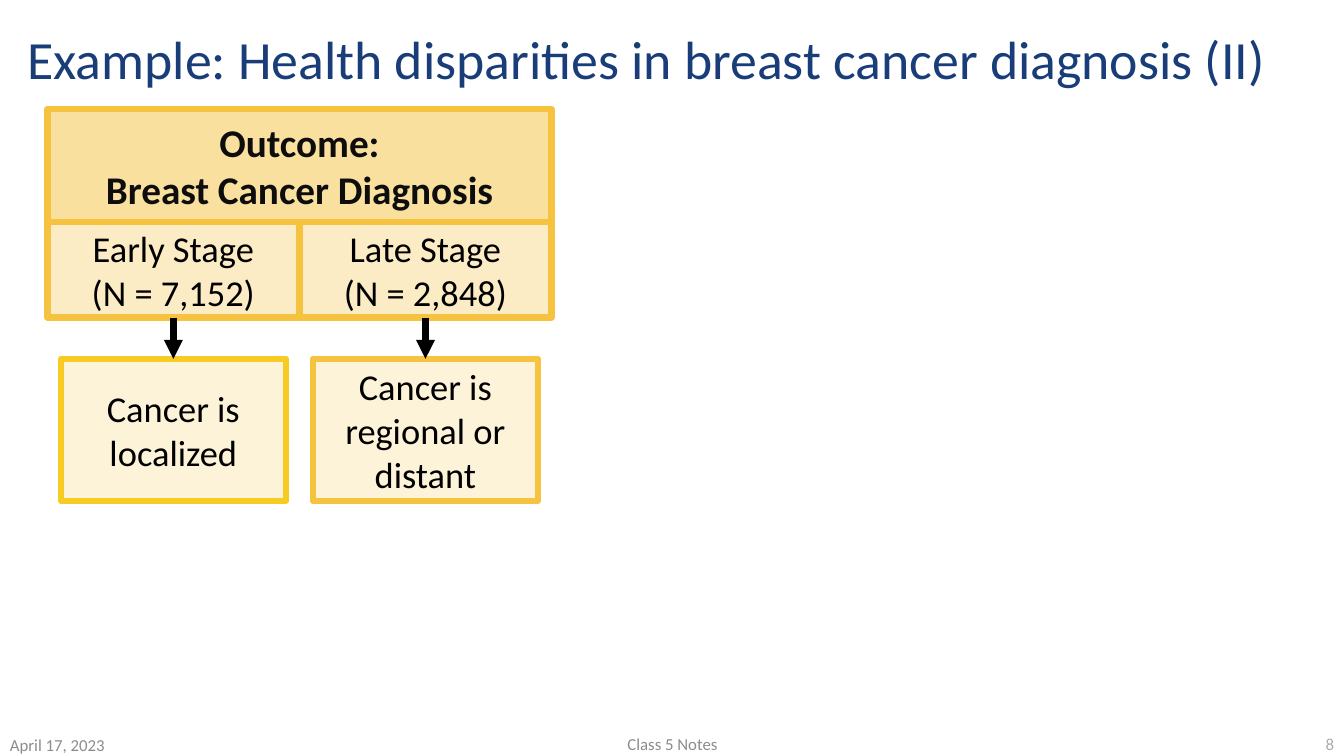
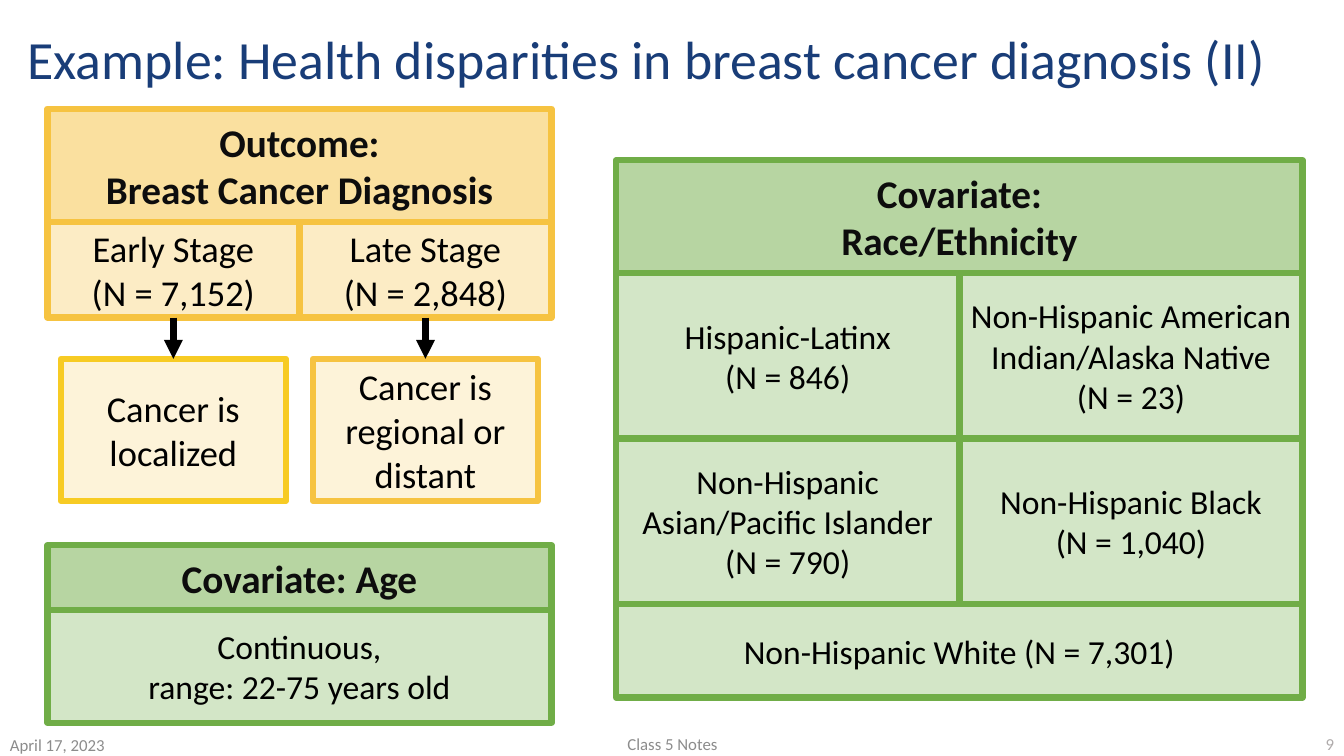
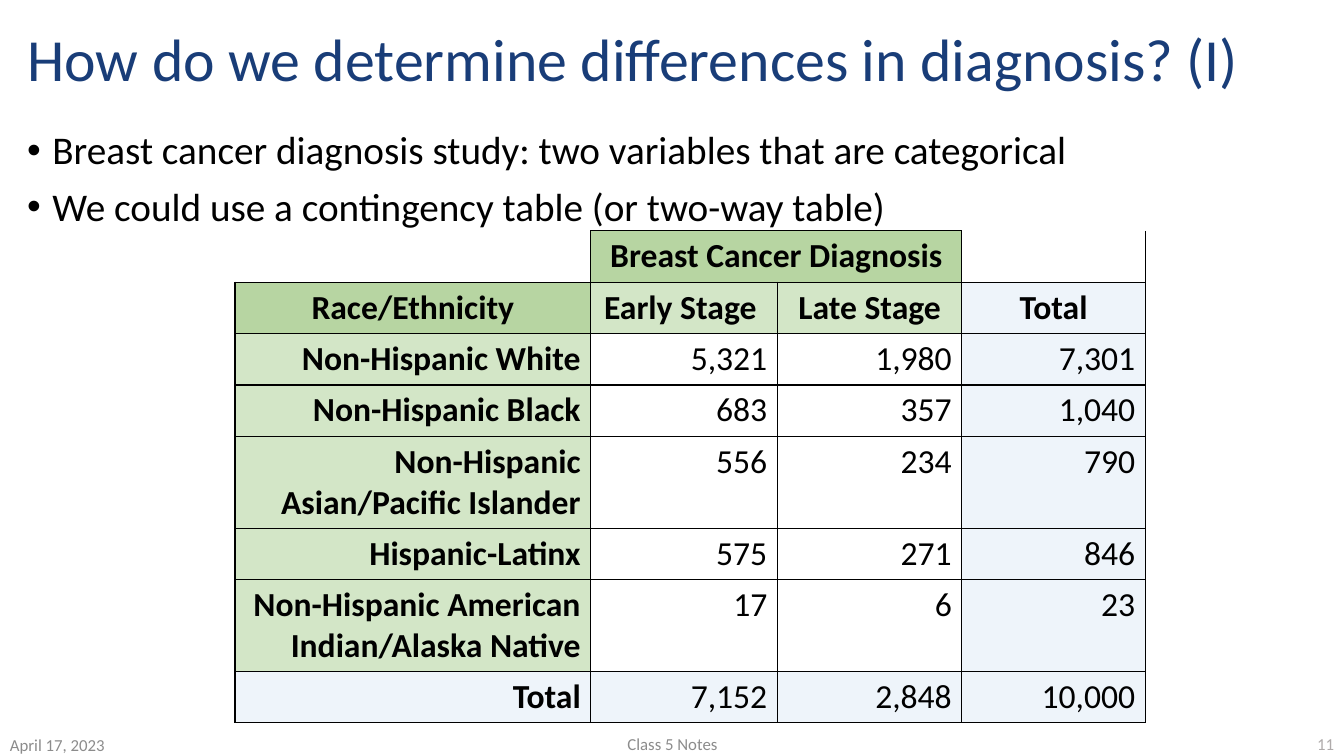
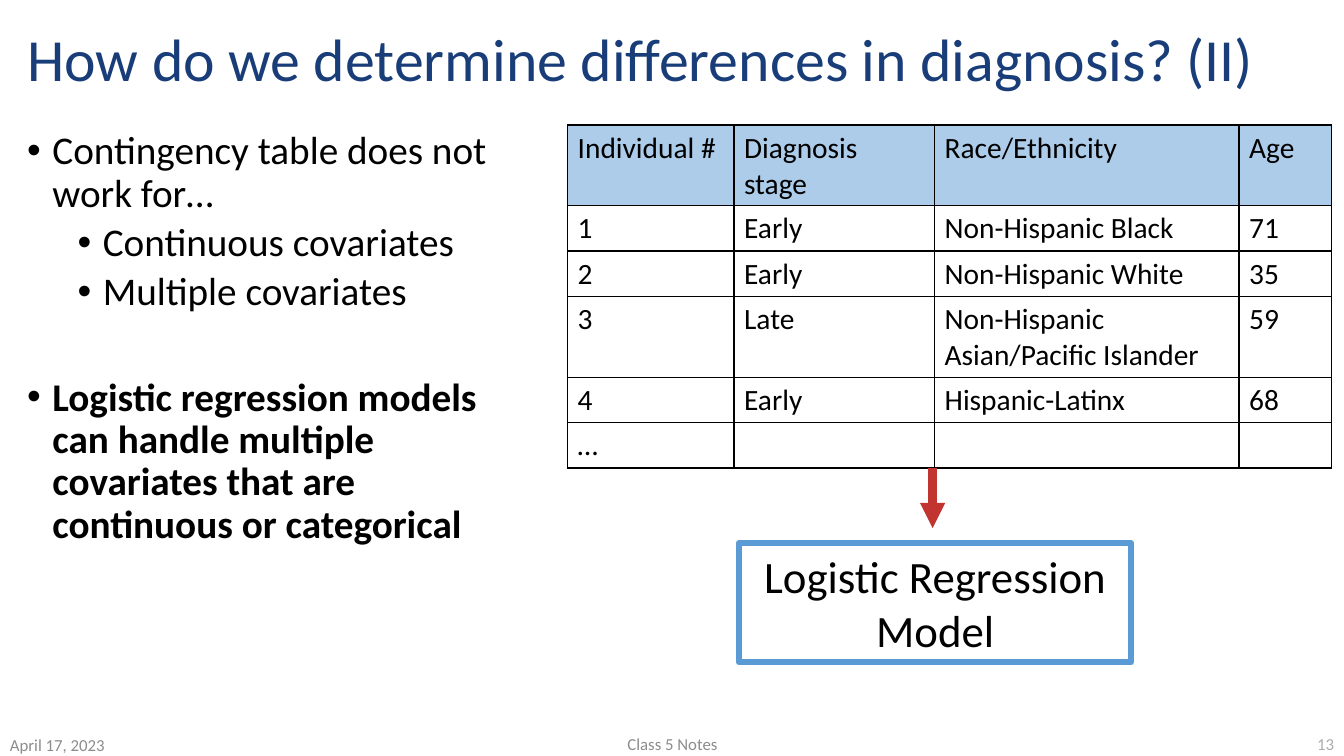
"""Build four class slides on health disparities in breast cancer diagnosis."""
from lxml import etree
from pptx import Presentation
from pptx import util as u
from pptx.dml.color import RGBColor
from pptx.enum import shapes, text
from pptx.oxml.ns import qn

WIDTH, HEIGHT = 13.33, 7.5
FONT = "Calibri"
COLORS = {
    "title": "193D78", "footer": "8C8C8C", "number": "AFABAB", "black": "000000",
    "heading": "0D0D0D", "gold": "F6C341", "yellow": "F7CB24", "green": "70AD47",
    "blue": "5B9BD5", "red": "C2342F",
}
ALIGN, ANCHOR = text.PP_ALIGN, text.MSO_ANCHOR
LEFT, CENTER, RIGHT = ALIGN.LEFT, ALIGN.CENTER, ALIGN.RIGHT
TITLE_ONLY, TITLE_AND_BODY = 5, 1
THICK = 4.5
PLAIN_TABLE = "{2D5ABB26-0587-4C30-8999-92F81FD0307C}"

TITLE_BOX = (0.17, 0.16, 13, 0.92)
DATE = ("April 17, 2023", (0, 7.27, 3, 0.23), LEFT, "footer")
CLASS = ("Class 5 Notes", (4.42, 7.25, 4.5, 0.25), CENTER, "footer")
NUMBER_BOX = (10.33, 7.25, 3, 0.25)

EXAMPLE_TITLE = ("Example: Health disparities in breast cancer diagnosis (II)", 38.4)
QUESTION = "How do we determine differences in diagnosis? "

OUTCOME = {
    "at": (0.47, 1.08), "width": 5, "color": "gold", "size": 26,
    "rows": [
        (1.12, ["Outcome:\nBreast Cancer Diagnosis"]),
        (0.95, ["Early Stage\n(N = 7,152)", "Late Stage\n(N = 2,848)"]),
    ],
}
STAGE_NOTES = [("Cancer is localized", "yellow"), ("Cancer is regional or distant", "gold")]
NOTE_TOP, NOTE_WIDTH, NOTE_HEIGHT = 3.56, 2.23, 1.41
RACE = {
    "at": (6.11, 1.59), "width": 6.81, "color": "green", "size": 24,
    "rows": [
        (1.12, ["Covariate:\nRace/Ethnicity"]),
        (1.64, ["Hispanic-Latinx\n(N = 846)",
                "Non-Hispanic American Indian/Alaska Native\n(N = 23)"]),
        (1.64, ["Non-Hispanic Asian/Pacific Islander\n(N = 790)",
                "Non-Hispanic Black\n(N = 1,040)"]),
        (0.93, ["Non-Hispanic White (N = 7,301)"]),
    ],
}
AGE = {
    "at": (0.47, 5.41), "width": 5, "color": "green", "size": 24,
    "rows": [(0.64, ["Covariate: Age"]), (1.12, ["Continuous,\nrange: 22-75 years old"])],
}

CELL_FILLS = {"H": ("green", 50), "L": ("green", 30), "T": ("blue", 10), "B": ("blue", 50)}
OPEN_CORNERS = {"<": "RB", ">": "LB"}
CONTINGENCY = {
    "at": (2.33, 2.29), "size": 24,
    "columns": [3.53, 1.85, 1.83, 1.82],
    "heights": [0.51, 0.51, 0.51, 0.51, 0.91, 0.51, 0.91, 0.51],
    "fills": ["<HH>", "HLLT"] + ["L..T"] * 5 + ["TTTT"],
    "cells": [
        ("", "Breast Cancer Diagnosis", "", ""),
        ("Race/Ethnicity", "Early Stage ", "Late Stage", "Total"),
        ("Non-Hispanic White", "5,321", "1,980", "7,301"),
        ("Non-Hispanic Black", "683", "357", "1,040"),
        ("Non-Hispanic Asian/Pacific Islander", "556", "234", "790"),
        ("Hispanic-Latinx", "575", "271", "846"),
        ("Non-Hispanic American Indian/Alaska Native", "17", "6", "23"),
        ("Total", "7,152", "2,848", "10,000"),
    ],
}
INDIVIDUALS = {
    "at": (5.63, 1.24), "size": 21,
    "columns": [1.65, 1.99, 3.02, 0.92],
    "heights": [0.79, 0.45, 0.45, 0.79, 0.45, 0.45],
    "fills": ["BBBB"] + ["...."] * 5,
    "cells": [
        ("Individual #", "Diagnosis stage", "Race/Ethnicity", "Age"),
        ("1", "Early", "Non-Hispanic Black", "71"),
        ("2", "Early", "Non-Hispanic White", "35"),
        ("3", "Late", "Non-Hispanic Asian/Pacific Islander", "59"),
        ("4", "Early", "Hispanic-Latinx", "68"),
        ("…", "", "", ""),
    ],
}
TABLE_BULLETS = [
    ("Breast cancer diagnosis study: two variables that are categorical", 0, 0, False),
    ("We could use a contingency table (or two-way table)", 0, 10, False),
]
MODEL_BULLETS = [
    ("Contingency table does not work for…", 0, 0, False),
    ("Continuous covariates", 1, 5, False),
    ("Multiple covariates", 1, 5, False),
    ("Logistic regression models can handle multiple covariates that are continuous "
     "or categorical", 0, 45, True),
]


def inches(values):
    return [u.Inches(value) for value in values]


def rgb(name):
    return RGBColor.from_string(COLORS[name])


def style(paragraph, size, color="black", align=LEFT, bold=False):
    paragraph.alignment = align
    for run in paragraph.runs:
        run.font.name = FONT
        run.font.size = u.Pt(size)
        run.font.bold = bold
        run.font.color.rgb = rgb(color)


def paint(fill, properties, color, percent):
    fill.solid()
    fill.fore_color.rgb = rgb(color)
    tint = properties.find(qn("a:solidFill")).find(qn("a:srgbClr"))
    etree.SubElement(tint, qn("a:alpha"), val=str(percent * 1000))


def add_label(slide, words, box, align, color):
    frame = slide.shapes.add_textbox(*inches(box)).text_frame
    frame.word_wrap = True
    frame.vertical_anchor = ANCHOR.MIDDLE
    frame.text = words
    style(frame.paragraphs[0], 12, color, align)


def new_slide(presentation, layout, title, size, number):
    slide = presentation.slides.add_slide(presentation.slide_layouts[layout])
    shape = slide.shapes.title
    shape.left, shape.top, shape.width, shape.height = inches(TITLE_BOX)
    frame = shape.text_frame
    frame.text = title
    frame.auto_size = text.MSO_AUTO_SIZE.NONE
    frame.vertical_anchor = ANCHOR.MIDDLE
    frame.paragraphs[0].line_spacing = 0.9
    style(frame.paragraphs[0], size, "title")
    for label in (DATE, CLASS, (number, NUMBER_BOX, RIGHT, "number")):
        add_label(slide, *label)
    return slide


def add_box(slide, words, box, size, line, fill=None, percent=0, heading=False):
    shape = slide.shapes.add_shape(shapes.MSO_SHAPE.RECTANGLE, *inches(box))
    shape.shadow.inherit = False
    if fill:
        paint(shape.fill, shape._element.spPr, fill, percent)
    else:
        shape.fill.background()
    shape.line.color.rgb = rgb(line)
    shape.line.width = u.Pt(THICK)
    frame = shape.text_frame
    frame.word_wrap = True
    frame.vertical_anchor = ANCHOR.MIDDLE
    frame.text = words
    for paragraph in frame.paragraphs:
        style(paragraph, size, "heading" if heading else "black", CENTER, heading)
    return shape


def add_arrow(slide, ends, color, width):
    arrow = slide.shapes.add_connector(shapes.MSO_CONNECTOR.STRAIGHT, *inches(ends))
    arrow.line.color.rgb = rgb(color)
    arrow.line.width = u.Pt(width)
    etree.SubElement(arrow.line._get_or_add_ln(), qn("a:tailEnd"), type="triangle")
    etree.SubElement(arrow._element.spPr, qn("a:effectLst"))
    return arrow


def add_panel(slide, panel):
    left, top = panel["at"]
    color = panel["color"]
    boxes = []
    for index, (height, cells) in enumerate(panel["rows"]):
        heading = index == 0
        width = panel["width"] / len(cells)
        boxes = [
            add_box(slide, words, (left + column * width, top, width, height),
                    28 if heading else panel["size"], color, color,
                    50 if heading else 30, heading)
            for column, words in enumerate(cells)
        ]
        top += height
    return boxes


def add_outcome(slide):
    stages = add_panel(slide, OUTCOME)
    for stage, (words, line) in zip(stages, STAGE_NOTES):
        left = (stage.left + stage.width / 2) / u.Inches(1) - NOTE_WIDTH / 2
        note = add_box(slide, words, (left, NOTE_TOP, NOTE_WIDTH, NOTE_HEIGHT),
                       26, line, "gold", 20)
        arrow = add_arrow(slide, (0, 0, 0, 0), "black", THICK)
        arrow.begin_connect(stage, 2)
        arrow.end_connect(note, 0)


def add_borders(cell, sides):
    properties = cell._tc.get_or_add_tcPr()
    for side in sides:
        line = etree.SubElement(properties, qn("a:ln" + side), w=str(u.Pt(1)))
        solid = etree.SubElement(line, qn("a:solidFill"))
        etree.SubElement(solid, qn("a:srgbClr"), val=COLORS["black"])


def add_grid(slide, grid, look):
    columns, heights = grid["columns"], grid["heights"]
    box = (*grid["at"], sum(columns), sum(heights))
    table = slide.shapes.add_table(len(heights), len(columns), *inches(box)).table
    table.first_row = table.horz_banding = False
    table._tbl.tblPr.find(qn("a:tableStyleId")).text = PLAIN_TABLE
    for column, width in zip(table.columns, columns):
        column.width = u.Inches(width)
    for row, height in zip(table.rows, heights):
        row.height = u.Inches(height)
    for row, (words, codes) in enumerate(zip(grid["cells"], grid["fills"])):
        for column, (word, code) in enumerate(zip(words, codes)):
            cell = table.cell(row, column)
            add_borders(cell, OPEN_CORNERS.get(code, "LRTB"))
            if code in CELL_FILLS:
                paint(cell.fill, cell._tc.tcPr, *CELL_FILLS[code])
            else:
                cell.fill.background()
            cell.text = word
            align, bold = look(row, column)
            style(cell.text_frame.paragraphs[0], grid["size"], "black", align, bold)
    return table


def contingency_look(row, column):
    return (CENTER if row < 2 else RIGHT), row < 2 or column == 0


def individual_look(row, column):
    return LEFT, False


def add_bullets(slide, bullets, width):
    body = slide.placeholders[1]
    body.left, body.top, body.width, body.height = inches((0.17, 1.25, width, 5.92))
    frame = body.text_frame
    frame.auto_size = text.MSO_AUTO_SIZE.NONE
    frame.text = "\n".join(bullet[0] for bullet in bullets)
    for paragraph, (_, level, before, bold) in zip(frame.paragraphs, bullets):
        paragraph.level = level
        properties = paragraph._p.get_or_add_pPr()
        properties.set("marL", str(u.Inches(0.25 + 0.5 * level)))
        properties.set("indent", str(u.Inches(-0.25)))
        color = etree.SubElement(properties, qn("a:buClr"))
        etree.SubElement(color, qn("a:srgbClr"), val=COLORS["black"])
        etree.SubElement(properties, qn("a:buFont"), typeface="Arial")
        etree.SubElement(properties, qn("a:buChar"), char="•")
        paragraph.line_spacing = 0.9
        paragraph.space_before = u.Pt(before)
        style(paragraph, 28, bold=bold)


def main():
    presentation = Presentation()
    presentation.slide_width, presentation.slide_height = inches((WIDTH, HEIGHT))

    slide = new_slide(presentation, TITLE_ONLY, *EXAMPLE_TITLE, "8")
    add_outcome(slide)

    slide = new_slide(presentation, TITLE_ONLY, *EXAMPLE_TITLE, "9")
    add_panel(slide, RACE)
    add_panel(slide, AGE)
    add_outcome(slide)

    slide = new_slide(presentation, TITLE_AND_BODY, QUESTION + "(I)", 42.7, "11")
    add_bullets(slide, TABLE_BULLETS, 11.92)
    table = add_grid(slide, CONTINGENCY, contingency_look)
    table.cell(0, 1).merge(table.cell(0, 2))

    slide = new_slide(presentation, TITLE_AND_BODY, QUESTION + "(II)", 42.7, "13")
    add_bullets(slide, MODEL_BULLETS, 5.17)
    add_grid(slide, INDIVIDUALS, individual_look)
    add_arrow(slide, (9.25, 4.64, 9.25, 5.24), "red", 6)
    add_box(slide, "Logistic Regression Model", (7.33, 5.39, 3.89, 1.18), 32, "blue")

    presentation.save("out.pptx")


if __name__ == "__main__":
    main()
